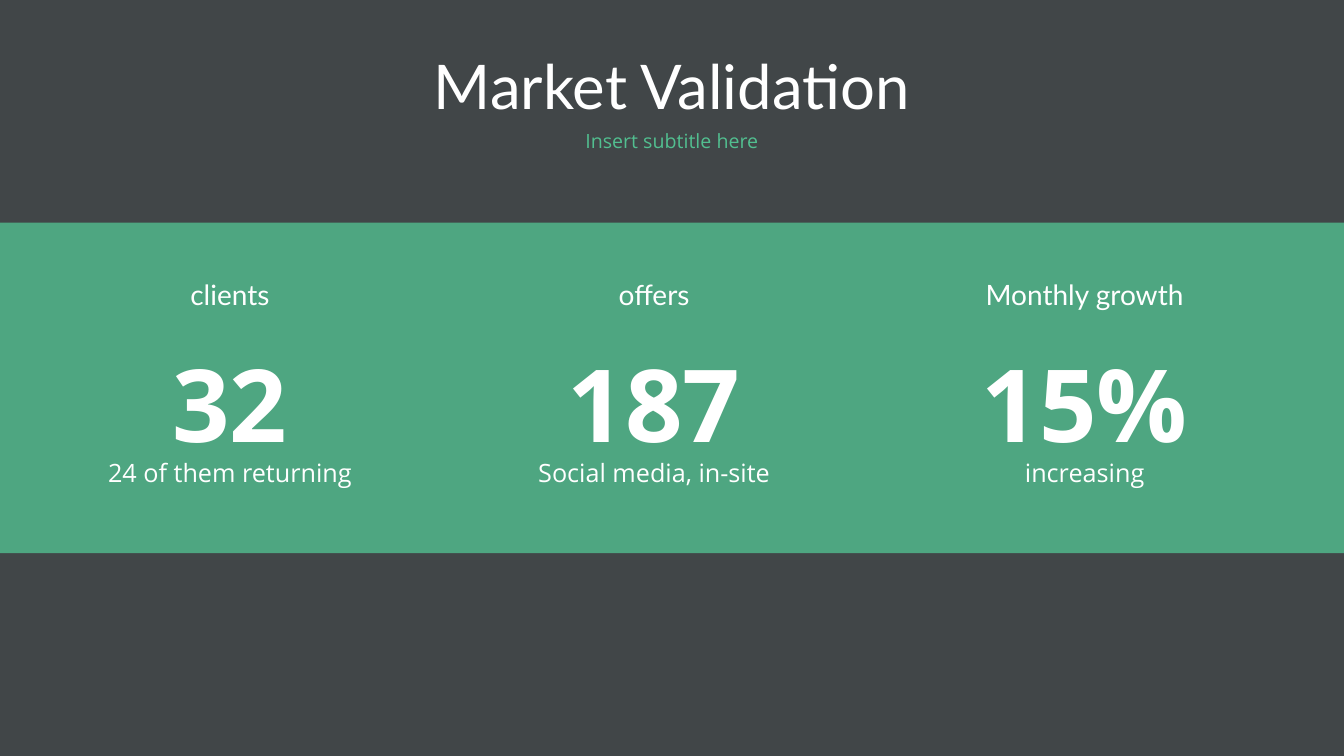
from lxml.etree import SubElement
from pptx import Presentation
from pptx.dml.color import RGBColor
from pptx.enum.shapes import MSO_SHAPE
from pptx.enum.text import MSO_ANCHOR, MSO_AUTO_SIZE, PP_ALIGN
from pptx.oxml.ns import qn
from pptx.util import Emu, Pt

SLIDE_W, SLIDE_H = 1280, 720
HEADING_FONT, BODY_FONT = "Lato", "Open Sans"
WHITE, GREEN, CHARCOAL = "FFFFFF", "52BF90", "181E20"

# centre of the column, heading width, heading, figure, remark
METRICS = [
    (219, 320, "clients", "32", "24 of them returning"),
    (623, 320, "offers", "187", "Social media, in-site"),
    (1033, 376, "Monthly growth", "15%", "increasing"),
]
FIGURE_W = 282


def px(length):
    return Emu(length * 9525)


def color(hex_string):
    return RGBColor.from_string(hex_string)


class MetricsSlide:
    def __init__(self, presentation):
        self.slide = presentation.slides.add_slide(presentation.slide_layouts[6])

    def panel(self, top, height, fill, opacity):
        """Draw a full-width rectangle; opacity is in percent."""
        panel = self.slide.shapes.add_shape(
            MSO_SHAPE.RECTANGLE, 0, px(top), px(SLIDE_W), px(height))
        panel.shadow.inherit = False
        panel.line.fill.background()
        panel.fill.solid()
        panel.fill.fore_color.rgb = color(fill)
        rgb = panel.fill._xPr.find(qn("a:solidFill")).find(qn("a:srgbClr"))
        SubElement(rgb, qn("a:alpha"), val=str(opacity * 1000))

    def text(self, words, center, top, width, height, size, font=BODY_FONT,
             fill=WHITE, bold=False, spacing=1.0, middle=False, grow=False):
        """Add one centred line of text around a horizontal centre."""
        box = self.slide.shapes.add_textbox(
            px(center - width // 2), px(top), px(width), px(height))
        frame = box.text_frame
        frame.word_wrap = True
        frame.auto_size = MSO_AUTO_SIZE.SHAPE_TO_FIT_TEXT if grow else MSO_AUTO_SIZE.NONE
        frame.vertical_anchor = MSO_ANCHOR.MIDDLE if middle else MSO_ANCHOR.TOP
        paragraph = frame.paragraphs[0]
        paragraph.text = words
        paragraph.alignment = PP_ALIGN.CENTER
        paragraph.line_spacing = spacing
        paragraph.font.name = font
        paragraph.font.size = Pt(size)
        paragraph.font.bold = bold
        paragraph.font.color.rgb = color(fill)

    def metric(self, center, heading_width, heading, figure, remark):
        self.text(remark, center, 416, FIGURE_W, 54, 18, spacing=1.5, grow=True)
        self.text(heading, center, 256, heading_width, 49, 20,
                  font=HEADING_FONT, middle=True)
        self.text(figure, center, 263, FIGURE_W, 165, 72,
                  bold=True, spacing=1.5, grow=True)


def main():
    presentation = Presentation()
    presentation.slide_width = px(SLIDE_W)
    presentation.slide_height = px(SLIDE_H)

    page = MetricsSlide(presentation)
    page.panel(0, SLIDE_H, CHARCOAL, 82)
    page.text("Market Validation", SLIDE_W // 2, 38, 1104, 94, 44,
              font=HEADING_FONT, spacing=0.9, middle=True)
    page.text("Insert subtitle here", SLIDE_W // 2, 121, 1104, 38, 14,
              fill=GREEN, spacing=0.9)
    page.panel(212, 315, GREEN, 80)
    for metric in METRICS:
        page.metric(*metric)

    presentation.save("out.pptx")


if __name__ == "__main__":
    main()
